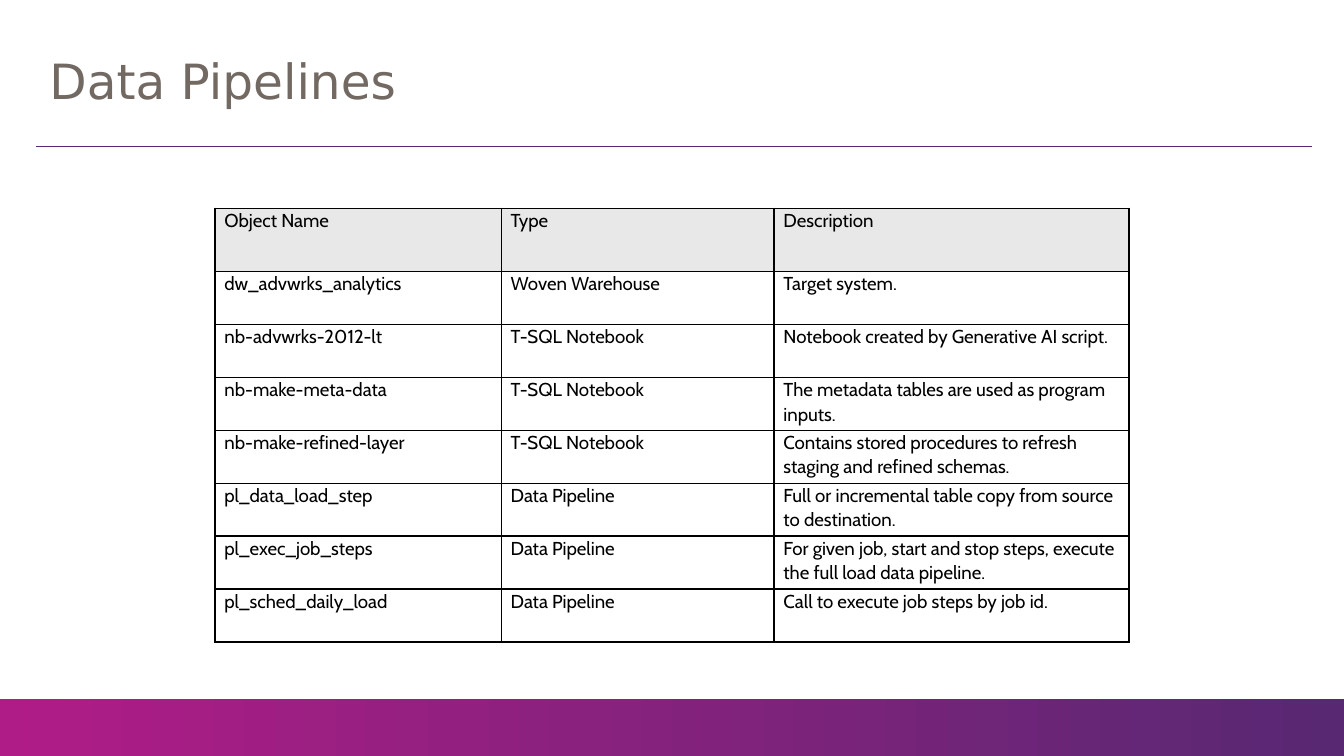
"""Build the Data Pipelines slide with its table of objects."""
from lxml import etree
from pptx import Presentation
from pptx import util as u
from pptx.dml.color import RGBColor
from pptx.enum import shapes, text
from pptx.oxml.ns import qn

PURPLE = "582873"
MAGENTA = "B01C87"
BLACK = "000000"


def color(value):
    return RGBColor.from_string(value)


def add_span(para, words, font, size, value):
    span = para.add_run()
    span.text = words
    span.font.name = font
    span.font.size = u.Pt(size)
    span.font.color.rgb = color(value)


deck = Presentation()
deck.slide_width = u.Inches(10)
deck.slide_height = u.Inches(10 * 9 / 16)
page = deck.slides.add_slide(deck.slide_layouts[6])

band_top = u.Inches(5.2)
band = page.shapes.add_shape(
    shapes.MSO_SHAPE.RECTANGLE, 0, band_top, deck.slide_width, deck.slide_height - band_top)
band.shadow.inherit = False
band.line.fill.background()
band.fill.gradient()
band.fill.gradient_angle = 0
for stop, value, position in zip(band.fill.gradient_stops, (MAGENTA, PURPLE), (0, 1)):
    stop.color.rgb = color(value)
    stop.position = position

rule = page.shapes.add_connector(
    shapes.MSO_CONNECTOR.STRAIGHT, u.Inches(0.27), u.Inches(1.09), u.Inches(9.76), u.Inches(1.09))
rule.line.color.rgb = color(PURPLE)
rule.line.width = u.Pt(1)
etree.SubElement(rule._element.spPr, qn("a:effectLst"))

title = page.shapes.add_textbox(u.Inches(0.27), u.Inches(0.25), u.Inches(9.53), u.Inches(0.75))
title.text_frame.word_wrap = True
title.text_frame.vertical_anchor = text.MSO_ANCHOR.MIDDLE
para = title.text_frame.paragraphs[0]
para.line_spacing = 0.9
add_span(para, "Data Pipelines", "DejaVu Sans", 26, "726963")

rows = [
    ("Object Name", "Type", "Description"),
    ("dw_advwrks_analytics", "Woven Warehouse", "Target system."),
    ("nb-advwrks-2012-lt", "T-SQL Notebook", "Notebook created by Generative AI script."),
    ("nb-make-meta-data", "T-SQL Notebook", "The metadata tables are used as program inputs."),
    ("nb-make-refined-layer", "T-SQL Notebook",
     "Contains stored procedures to refresh staging and refined schemas."),
    ("pl_data_load_step", "Data Pipeline",
     "Full or incremental table copy from source to destination."),
    ("pl_exec_job_steps", "Data Pipeline",
     "For given job, start and stop steps, execute the full load data pipeline."),
    ("pl_sched_daily_load", "Data Pipeline", "Call to execute job steps by job id."),
]
widths = (2.13, 2.03, 2.64)
table_height, header_height = 3.23, 0.47
body_count = len(rows) - 1
heights = [header_height] + [(table_height - header_height) / body_count] * body_count

table = page.shapes.add_table(
    len(rows), len(widths), u.Inches(1.6), u.Inches(1.55),
    u.Inches(sum(widths)), u.Inches(table_height)).table
table.first_row = table.horz_banding = False
for column, width in zip(table.columns, widths):
    column.width = u.Inches(width)

for row, height, entries in zip(table.rows, heights, rows):
    row.height = u.Inches(height)
    for cell, words in zip(row.cells, entries):
        cell.margin_left = cell.margin_right = u.Inches(0.07)
        cell.margin_top = cell.margin_bottom = 0
        para = cell.text_frame.paragraphs[0]
        para.line_spacing = 1.07
        para.space_after = u.Pt(8)
        add_span(para, words, "Cabin", 10, BLACK)

        properties = cell._tc.get_or_add_tcPr()
        for side in ("lnL", "lnR", "lnT", "lnB"):
            border = etree.SubElement(properties, qn(f"a:{side}"), w=str(u.Pt(1)))
            paint = etree.SubElement(border, qn("a:solidFill"))
            etree.SubElement(paint, qn("a:srgbClr"), val=BLACK)
        if entries is rows[0]:
            cell.fill.solid()
            cell.fill.fore_color.rgb = color("E8E8E8")
        else:
            cell.fill.background()

deck.save("out.pptx")
